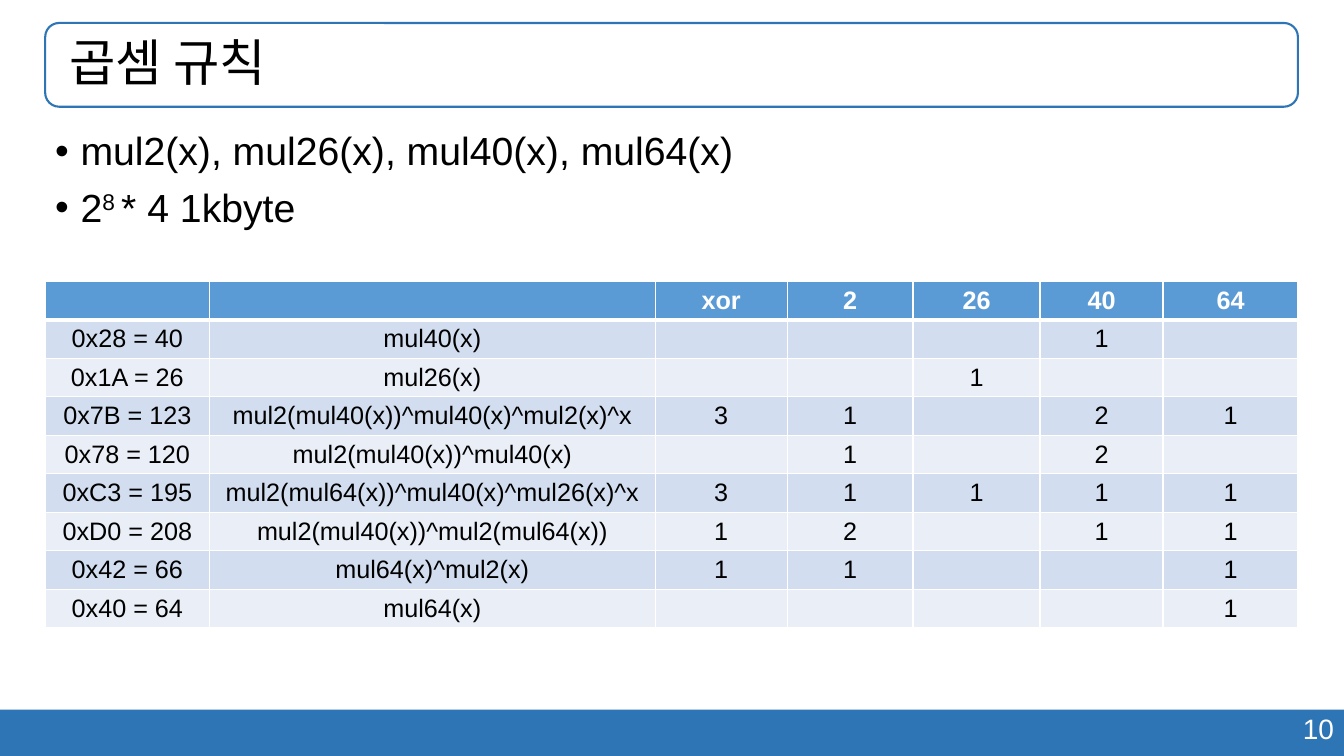
from dataclasses import dataclass

from lxml.etree import SubElement
from pptx import Presentation
from pptx.dml.color import RGBColor
from pptx.enum.shapes import MSO_SHAPE
from pptx.enum.text import MSO_ANCHOR, PP_ALIGN
from pptx.oxml.ns import qn
from pptx.util import Cm, Pt


@dataclass(frozen=True)
class Theme:
    font: str = "Arial"
    accent: RGBColor = RGBColor(0x2E, 0x75, 0xB6)
    header: RGBColor = RGBColor(0x5B, 0x9B, 0xD5)
    bands: tuple = (RGBColor(0xD2, 0xDE, 0xEF), RGBColor(0xEA, 0xEF, 0xF7))
    black: RGBColor = RGBColor(0, 0, 0)
    white: RGBColor = RGBColor(0xFF, 0xFF, 0xFF)
    title_size: Pt = Pt(36)
    body_size: Pt = Pt(28)
    page_size: Pt = Pt(20)
    table_size: Pt = Pt(18)


THEME = Theme()
SLIDE_WIDTH, SLIDE_HEIGHT = Cm(33.87), Cm(19.05)
LEFT, CONTENT_WIDTH = Cm(1.14), Cm(31.57)
TITLE_BOX = (LEFT, Cm(0.58), CONTENT_WIDTH, Cm(2.11))

BULLETS = [
    [("mul2(x), mul26(x), mul40(x), mul64(x)", False)],
    [("2", False), ("8 ", True), ("* 4 1kbyte", False)],
]
COLUMN_WIDTHS = [4.14, 11.23, 3.33, 3.17, 3.2, 3.1, 3.4]
ROW_HEIGHT = Cm(0.97)
RULES = [
    ("", "", "xor", "2", "26", "40", "64"),
    ("0x28 = 40", "mul40(x)", "", "", "", "1", ""),
    ("0x1A = 26", "mul26(x)", "", "", "1", "", ""),
    ("0x7B = 123", "mul2(mul40(x))^mul40(x)^mul2(x)^x", "3", "1", "", "2", "1"),
    ("0x78 = 120", "mul2(mul40(x))^mul40(x)", "", "1", "", "2", ""),
    ("0xC3 = 195", "mul2(mul64(x))^mul40(x)^mul26(x)^x", "3", "1", "1", "1", "1"),
    ("0xD0 = 208", "mul2(mul40(x))^mul2(mul64(x))", "1", "2", "", "1", "1"),
    ("0x42 = 66", "mul64(x)^mul2(x)", "1", "1", "", "", "1"),
    ("0x40 = 64", "mul64(x)", "", "", "", "", "1"),
]


def style_font(paragraph, size, color, bold=False):
    font = paragraph.font
    font.name, font.size, font.bold = THEME.font, size, bold
    font.color.rgb = color


def add_panel(slide, preset, box, fill=None, line=None):
    shape = slide.shapes.add_shape(preset, *box)
    shape.shadow.inherit = False
    if fill is None:
        shape.fill.background()
    else:
        shape.fill.solid()
        shape.fill.fore_color.rgb = fill
    if line is None:
        shape.line.fill.background()
    else:
        shape.line.color.rgb = line
        shape.line.width = Pt(1.5)


def set_title(slide, text):
    title = slide.shapes.title
    title.left, title.top, title.width, title.height = TITLE_BOX
    frame = title.text_frame
    frame.text = text
    frame.margin_left = Cm(0.61)
    frame.vertical_anchor = MSO_ANCHOR.MIDDLE
    paragraph = frame.paragraphs[0]
    paragraph.alignment = PP_ALIGN.LEFT
    paragraph.line_spacing = 0.9
    style_font(paragraph, THEME.title_size, THEME.black)


def add_bullet(paragraph):
    properties = paragraph._p.get_or_add_pPr()
    indent = Cm(0.64)
    properties.set("marL", str(indent))
    properties.set("indent", str(-indent))
    SubElement(properties, qn("a:buFont"), typeface=THEME.font)
    SubElement(properties, qn("a:buChar"), char="•")


def add_bullet_list(slide, box, items):
    """Each item is a list of (text, is_superscript) runs."""
    frame = slide.shapes.add_textbox(*box).text_frame
    frame.word_wrap = True
    for index, runs in enumerate(items):
        paragraph = frame.add_paragraph() if index else frame.paragraphs[0]
        add_bullet(paragraph)
        paragraph.line_spacing = 0.9
        if index:
            paragraph.space_before = Pt(10)
        style_font(paragraph, THEME.body_size, THEME.black)
        for text, is_superscript in runs:
            run = paragraph.add_run()
            run.text = text
            if is_superscript:
                run.font._element.set("baseline", "30000")


def set_borders(cell, top, bottom):
    """Draw white borders; top and bottom are widths in points."""
    properties = cell._tc.get_or_add_tcPr()
    for side, width in (("L", 1), ("R", 1), ("T", top), ("B", bottom)):
        line = SubElement(properties, qn(f"a:ln{side}"), w=str(Pt(width)))
        fill = SubElement(line, qn("a:solidFill"))
        SubElement(fill, qn("a:srgbClr"), val=str(THEME.white))


def fill_cell(cell, text, row_index):
    is_header = row_index == 0
    set_borders(cell, top=3 if row_index == 1 else 1, bottom=3 if is_header else 1)
    cell.fill.solid()
    cell.fill.fore_color.rgb = THEME.header if is_header else THEME.bands[(row_index - 1) % 2]
    cell.margin_top = cell.margin_bottom = 0
    cell.vertical_anchor = MSO_ANCHOR.MIDDLE
    cell.text = text
    paragraph = cell.text_frame.paragraphs[0]
    paragraph.alignment = PP_ALIGN.CENTER
    style_font(paragraph, THEME.table_size, THEME.white if is_header else THEME.black, is_header)


def add_rule_table(slide, left, top, rows):
    table = slide.shapes.add_table(
        len(rows), len(COLUMN_WIDTHS), left, top, CONTENT_WIDTH, ROW_HEIGHT * len(rows)
    ).table
    for column, width in zip(table.columns, COLUMN_WIDTHS):
        column.width = Cm(width)
    for row_index, values in enumerate(rows):
        table.rows[row_index].height = ROW_HEIGHT
        for column_index, text in enumerate(values):
            fill_cell(table.cell(row_index, column_index), text, row_index)


def add_page_number(slide, box, number):
    frame = slide.shapes.add_textbox(*box).text_frame
    frame.word_wrap = True
    frame.text = number
    paragraph = frame.paragraphs[0]
    paragraph.alignment = PP_ALIGN.RIGHT
    style_font(paragraph, THEME.page_size, THEME.white)


def main():
    presentation = Presentation()
    presentation.slide_width, presentation.slide_height = SLIDE_WIDTH, SLIDE_HEIGHT
    slide = presentation.slides.add_slide(presentation.slide_layouts[5])

    footer_top = Cm(17.88)
    footer_box = (0, footer_top, SLIDE_WIDTH, SLIDE_HEIGHT - footer_top)
    add_panel(slide, MSO_SHAPE.RECTANGLE, footer_box, fill=THEME.accent)
    add_page_number(slide, (Cm(23.96), Cm(17.81), Cm(9.91), Cm(1.11)), "10")
    add_panel(slide, MSO_SHAPE.ROUNDED_RECTANGLE, TITLE_BOX, line=THEME.accent)
    set_title(slide, "곱셈 규칙")
    add_bullet_list(slide, (LEFT, Cm(3.2), CONTENT_WIDTH, Cm(14.05)), BULLETS)
    add_rule_table(slide, LEFT, Cm(7.09), RULES)

    presentation.save("out.pptx")


if __name__ == "__main__":
    main()
